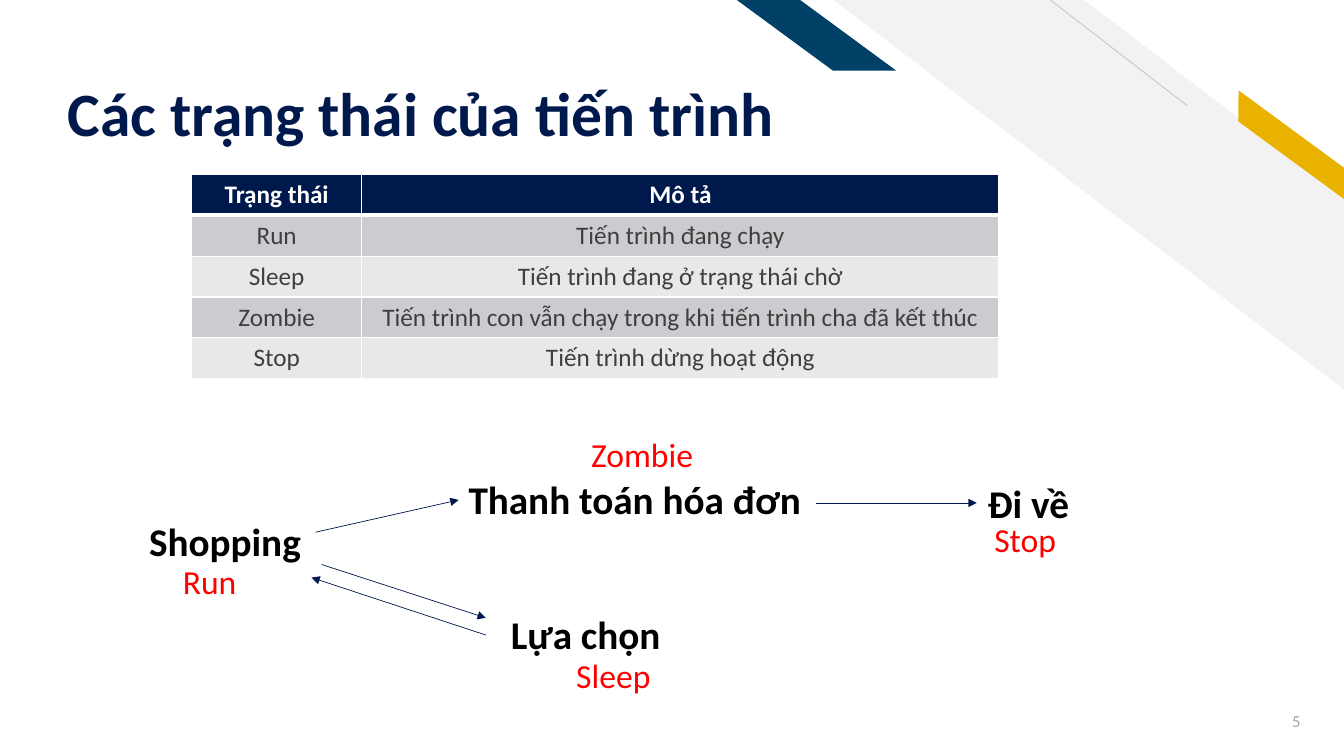
"""Build the slide on process states: a table of states and a shopping analogy."""
import pptx
import pptx.util
import pptx.dml.color
import pptx.enum.shapes
import pptx.enum.text
import pptx.oxml
import pptx.oxml.ns

SHAPE = pptx.enum.shapes.MSO_SHAPE
ALIGN = pptx.enum.text.PP_ALIGN
ANCHOR = pptx.enum.text.MSO_ANCHOR

COLORS = {
    "navy": "00194C", "teal": "014067", "gold": "EAB200", "pale": "F2F2F2",
    "hairline": "BFBFBF", "number": "A5A5A5", "body": "3F3F3F", "white": "FFFFFF",
    "black": "000000", "red": "FF0000", "odd": "CCCCD0", "even": "E7E8E9",
}
STYLES = {
    "title": {"name": "Calibri", "size": 44, "bold": True, "color": "navy"},
    "number": {"name": "Calibri", "size": 12, "bold": False, "color": "number"},
    "head": {"name": "Calibri", "size": 18, "bold": True, "color": "white"},
    "cell": {"name": "Calibri", "size": 18, "bold": False, "color": "body"},
    "stage": {"name": "Calibri", "size": 28, "bold": True, "color": "black"},
    "state": {"name": "Calibri", "size": 24, "bold": False, "color": "red"},
}

# Grid of square cells, ten to the inch: (column, row, columns wide, rows high)
COLUMNS, ROWS, CELLS_PER_INCH = 133.33, 75, 10

TITLE = ("Các trạng thái của tiến trình", (5.7, 2.3, 91.1, 12.6))
BANDS = [
    (SHAPE.DIAGONAL_STRIPE, (82.7, 0, 50.7, 38.7), 0.51, 0, "pale"),
    (SHAPE.PARALLELOGRAM, (120.7, 13.1, 14.8, 2.5), 0.72, 36.3, "gold"),
    (SHAPE.PARALLELOGRAM, (73.1, 0, 15.8, 7), 1.36, 0, "teal"),
]
HAIRLINE = (117.8, 10.5, 104.2, 0)
STATES = [
    ("Trạng thái", "Mô tả"),
    ("Run", "Tiến trình đang chạy"),
    ("Sleep", "Tiến trình đang ở trạng thái chờ"),
    ("Zombie", "Tiến trình con vẫn chạy trong khi tiến trình cha đã kết thúc"),
    ("Stop", "Tiến trình dừng hoạt động"),
]
TABLE_CORNER, TABLE_COLUMNS, TABLE_ROW = (19, 17.3), (16.9, 63.2), 4.04
LABELS = [
    ("5", "number", (121.9, 69.5, 8.1, 4), ALIGN.RIGHT),
    ("Shopping", "stage", (13.8, 50.8, 17.2, 5.7), ALIGN.LEFT),
    ("Lựa chọn", "stage", (49.7, 60.1, 17, 5.7), ALIGN.LEFT),
    ("Thanh toán hóa đơn", "stage", (45.5, 46.7, 35.4, 5.7), ALIGN.LEFT),
    ("Đi về", "stage", (97, 47.1, 10.2, 5.7), ALIGN.LEFT),
    ("Run", "state", (17.1, 55.2, 7.4, 5), ALIGN.CENTER),
    ("Sleep", "state", (56.1, 64.5, 9.5, 5), ALIGN.CENTER),
    ("Zombie", "state", (57.6, 42.6, 12.2, 5), ALIGN.CENTER),
    ("Stop", "state", (97.6, 51, 8.2, 5), ALIGN.CENTER),
]
ARROWS = [
    (31.9, 56, 48.2, 61.3),
    (48.2, 63, 30.9, 57.3),
    (31.3, 52.8, 45.5, 49.6),
    (81, 49.9, 96.9, 49.9),
]


def cells(*counts):
    return [pptx.util.Inches(count / CELLS_PER_INCH) for count in counts]


def rgb(name):
    return pptx.dml.color.RGBColor.from_string(COLORS[name])


def xml(tag, inner="", attributes=""):
    namespace = pptx.oxml.ns.nsdecls("a")
    return pptx.oxml.parse_xml(f"<a:{tag} {namespace} {attributes}>{inner}</a:{tag}>")


def write(frame, text, style, align):
    para = frame.paragraphs[0]
    para.alignment = align
    span = para.add_run()
    span.text = text
    for key, value in STYLES[style].items():
        if key == "color":
            span.font.color.rgb = rgb(value)
        else:
            setattr(span.font, key, pptx.util.Pt(value) if key == "size" else value)
    return para


def add_band(page, kind, place, slant, turn, color):
    band = page.shapes.add_shape(kind, *cells(*place))
    band.adjustments[0] = slant
    band.rotation = turn
    band.shadow.inherit = False
    band.fill.solid()
    band.fill.fore_color.rgb = rgb(color)
    band.line.fill.background()
    band.element.spPr.find(pptx.oxml.ns.qn("a:xfrm")).set("flipH", "1")


def add_line(page, ends, color, arrow=False):
    line = page.shapes.add_connector(
        pptx.enum.shapes.MSO_CONNECTOR.STRAIGHT, *cells(*ends))
    line.line.color.rgb = rgb(color)
    line.line.width = pptx.util.Pt(0.5)
    if arrow:
        line.line._get_or_add_ln().append(xml("tailEnd", attributes='type="triangle"'))
    line.element.spPr.append(xml("effectLst"))


def add_title(page):
    text, place = TITLE
    title = page.shapes.title
    for key, value in zip(("left", "top", "width", "height"), cells(*place)):
        setattr(title, key, value)
    frame_format = {
        "auto_size": pptx.enum.text.MSO_AUTO_SIZE.NONE, "word_wrap": True,
        "vertical_anchor": ANCHOR.BOTTOM, "margin_bottom": 0,
    }
    for key, value in frame_format.items():
        setattr(title.text_frame, key, value)
    write(title.text_frame, text, "title", ALIGN.LEFT).line_spacing = 0.9
    page.shapes.element.append(title.element)


def add_label(page, text, style, place, align):
    frame = page.shapes.add_textbox(*cells(*place)).text_frame
    frame.word_wrap = style == "number"
    if style == "number":
        frame.vertical_anchor = ANCHOR.MIDDLE
    write(frame, text, style, align)


def add_borders(cell, row):
    weights = {"L": 1, "R": 1, "T": 3 if row == 1 else 1, "B": 3 if row == 0 else 1}
    paint = f'<a:solidFill><a:srgbClr val="{COLORS["white"]}"/></a:solidFill>'
    for side, weight in weights.items():
        border = xml(f"ln{side}", paint, f'w="{pptx.util.Pt(weight)}"')
        cell._tc.get_or_add_tcPr().append(border)


def add_states(page):
    size = (sum(TABLE_COLUMNS), TABLE_ROW * len(STATES))
    table = page.shapes.add_table(
        len(STATES), len(TABLE_COLUMNS), *cells(*TABLE_CORNER, *size)).table
    for column, width in zip(table.columns, cells(*TABLE_COLUMNS)):
        column.width = width
    for row, texts in enumerate(STATES):
        fill = "navy" if row == 0 else "odd" if row % 2 else "even"
        for column, text in enumerate(texts):
            cell = table.cell(row, column)
            add_borders(cell, row)
            cell.fill.solid()
            cell.fill.fore_color.rgb = rgb(fill)
            write(cell.text_frame, text, "cell" if row else "head", ALIGN.CENTER)


def main():
    deck = pptx.Presentation()
    deck.slide_width, deck.slide_height = cells(COLUMNS, ROWS)
    page = deck.slides.add_slide(deck.slide_layouts[5])
    for band in BANDS:
        add_band(page, *band)
    add_line(page, HAIRLINE, "hairline")
    add_title(page)
    add_states(page)
    for label in LABELS:
        add_label(page, *label)
    for arrow in ARROWS:
        add_line(page, arrow, "navy", arrow=True)
    deck.save("out.pptx")


if __name__ == "__main__":
    main()
